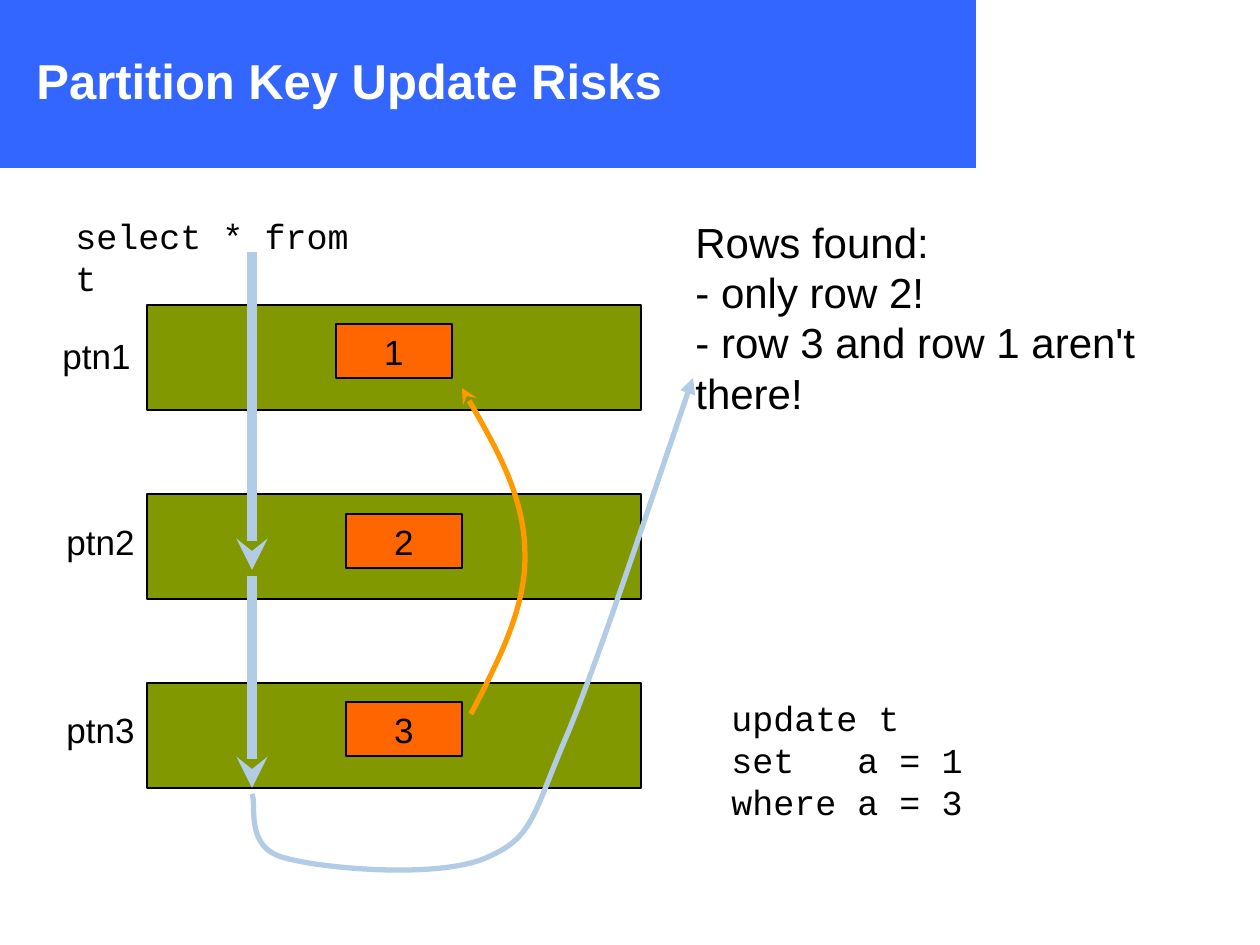
from dataclasses import dataclass

from lxml import etree
from pptx import Presentation
from pptx.dml.color import RGBColor
from pptx.enum.shapes import MSO_CONNECTOR, MSO_SHAPE
from pptx.enum.text import MSO_ANCHOR, PP_ALIGN
from pptx.oxml.ns import qn
from pptx.util import Emu, Pt

RECTANGLE = MSO_SHAPE.RECTANGLE
STRAIGHT = MSO_CONNECTOR.STRAIGHT
MIDDLE, TOP = MSO_ANCHOR.MIDDLE, MSO_ANCHOR.TOP
LEFT, CENTER = PP_ALIGN.LEFT, PP_ALIGN.CENTER

BLUE = RGBColor(0x33, 0x66, 0xFF)
OLIVE = RGBColor(0x82, 0x98, 0x00)
ORANGE = RGBColor(0xFF, 0x66, 0x00)
AMBER = RGBColor(0xFF, 0x99, 0x00)
PALE_BLUE = RGBColor(0xB3, 0xCC, 0xE6)
BLACK = RGBColor(0x00, 0x00, 0x00)
WHITE = RGBColor(0xFF, 0xFF, 0xFF)

SANS, MONO = "Arial", "Courier New"
EMU_PER_PX = 914400 / 126


def px(length: int) -> Emu:
    return Emu(round(length * EMU_PER_PX))


@dataclass(frozen=True)
class Box:
    left: int
    top: int
    width: int
    height: int

    def emu(self) -> tuple[Emu, ...]:
        return px(self.left), px(self.top), px(self.width), px(self.height)


@dataclass(frozen=True)
class Style:
    size: float = 20
    font: str = SANS
    color: RGBColor = BLACK
    bold: bool = False
    align: PP_ALIGN = LEFT
    anchor: MSO_ANCHOR = TOP
    wrap: bool = True
    spacing: float | None = None


@dataclass(frozen=True)
class Text:
    box: Box
    lines: tuple[str, ...]
    style: Style


@dataclass(frozen=True)
class Row:
    number: str
    left: int
    top: int


@dataclass(frozen=True)
class Curve:
    """Start point followed by three points for each cubic segment."""
    points: tuple[tuple[int, int], ...]
    color: RGBColor
    head: str


TITLE = Style(28, color=WHITE, bold=True, anchor=MIDDLE)
LABEL = Style(wrap=False)
ROW = Style(align=CENTER, anchor=MIDDLE, wrap=False)
CODE = Style(font=MONO, spacing=24)
FINDINGS = Style(24, wrap=False, spacing=28.8)

PARTITION_LEFT, PARTITION_TOP, PARTITION_PITCH = 147, 305, 189
LABELS = (
    Text(Box(50, 328, 93, 55), ("ptn1",), LABEL),
    Text(Box(54, 514, 93, 55), ("ptn2",), LABEL),
    Text(Box(54, 702, 93, 55), ("ptn3",), LABEL),
)
UPDATE = Text(Box(719, 690, 277, 223),
              ("update t", "set   a = 1", "where a = 3"), CODE)
SELECT = Text(Box(63, 208, 340, 139), ("select * from t",), CODE)
RESULT = Text(
    Box(683, 210, 583, 315),
    ("Rows found:", "- only row 2!", "- row 3 and row 1 aren't there!"),
    FINDINGS)
ROWS = (Row("1", 336, 324), Row("2", 346, 514), Row("3", 346, 702))
SCAN_X = 252
SCANS = ((252, 570), (576, 788))
ROW_MOVE = Curve(
    ((471, 714), (499, 660), (527, 606), (525, 552),
     (524, 496), (493, 442), (462, 388)), AMBER, "stealth")
SCAN_RESULT = Curve(
    ((252, 794), (257, 805), (244, 848), (285, 858),
     (324, 869), (441, 879), (488, 857),
     (534, 837), (533, 814), (567, 735),
     (601, 654), (667, 452), (693, 378)), PALE_BLUE, "triangle")


def write(frame, lines: tuple[str, ...], style: Style) -> None:
    frame.word_wrap = style.wrap
    frame.vertical_anchor = style.anchor
    for index, line in enumerate(lines):
        paragraph = frame.add_paragraph() if index else frame.paragraphs[0]
        paragraph.alignment = style.align
        if style.spacing:
            paragraph.line_spacing = Pt(style.spacing)
        run = paragraph.add_run()
        run.text = line
        run.font.name = style.font
        run.font.size = Pt(style.size)
        run.font.bold = style.bold
        run.font.color.rgb = style.color


def add_text(slide, text: Text) -> None:
    write(slide.shapes.add_textbox(*text.box.emu()).text_frame,
          text.lines, text.style)


def add_rectangle(slide, box: Box, fill: RGBColor, outlined: bool = True):
    rectangle = slide.shapes.add_shape(RECTANGLE, *box.emu())
    rectangle.shadow.inherit = False
    rectangle.fill.solid()
    rectangle.fill.fore_color.rgb = fill
    if outlined:
        rectangle.line.color.rgb = BLACK
        rectangle.line.width = Pt(0.75)
    else:
        rectangle.line.fill.background()
    return rectangle


def add_row(slide, row: Row) -> None:
    cell = add_rectangle(slide, Box(row.left, row.top, 116, 54), ORANGE)
    write(cell.text_frame, (row.number,), ROW)


def style_arrow(line, color: RGBColor, width: float, head: str) -> None:
    line.color.rgb = color
    line.width = Pt(width)
    etree.SubElement(line._get_or_add_ln(), qn("a:tailEnd"), type=head)


def add_scan(slide, start: int, end: int) -> None:
    scan = slide.shapes.add_connector(
        STRAIGHT, px(SCAN_X), px(start), px(SCAN_X), px(end))
    style_arrow(scan.line, PALE_BLUE, 6, "stealth")
    etree.SubElement(scan._element.spPr, qn("a:effectLst"))


def add_curve(slide, curve: Curve) -> None:
    """Lay the points out as a polyline, then join each three as a cubic."""
    start, *rest = curve.points
    builder = slide.shapes.build_freeform(*start, scale=EMU_PER_PX)
    builder.add_line_segments(rest, close=False)
    shape = builder.convert_to_shape()
    shape.shadow.inherit = False
    shape.fill.background()
    style_arrow(shape.line, curve.color, 3, curve.head)
    segments = list(shape._element.iter(qn("a:lnTo")))
    for first in range(0, len(segments), 3):
        cubic = etree.Element(qn("a:cubicBezTo"))
        segments[first].addprevious(cubic)
        for segment in segments[first:first + 3]:
            cubic.append(segment[0])
            segment.getparent().remove(segment)


def main() -> None:
    deck = Presentation()
    deck.slide_width, deck.slide_height = px(1260), px(945)
    slide = deck.slides.add_slide(deck.slide_layouts[6])

    add_rectangle(slide, Box(0, 0, 976, 168), BLUE, outlined=False)
    title = add_rectangle(slide, Box(24, 1, 950, 158), BLUE, outlined=False)
    write(title.text_frame, ("Partition Key Update Risks",), TITLE)

    for index in range(len(LABELS)):
        top = PARTITION_TOP + index * PARTITION_PITCH
        add_rectangle(slide, Box(PARTITION_LEFT, top, 494, 105), OLIVE)
    for text in (*LABELS, UPDATE, SELECT, RESULT):
        add_text(slide, text)
    for row in ROWS:
        add_row(slide, row)
    add_curve(slide, ROW_MOVE)
    for start, end in SCANS:
        add_scan(slide, start, end)
    add_curve(slide, SCAN_RESULT)
    deck.save("out.pptx")


if __name__ == "__main__":
    main()
